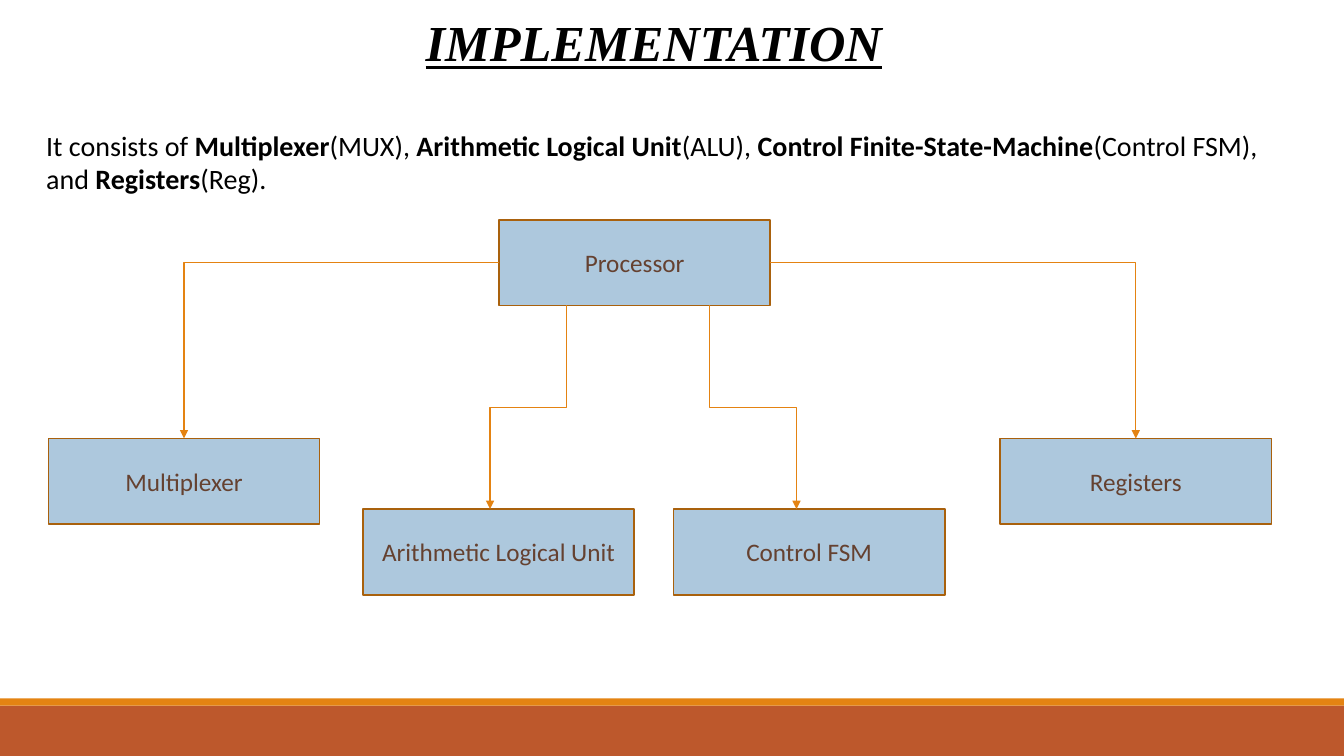
from dataclasses import dataclass

from lxml import etree
from pptx import Presentation
from pptx.dml.color import RGBColor
from pptx.enum.shapes import MSO_CONNECTOR, MSO_SHAPE
from pptx.enum.text import MSO_ANCHOR, PP_ALIGN
from pptx.oxml.ns import qn
from pptx.util import Inches, Pt

ELBOW = MSO_CONNECTOR.ELBOW
RECT = MSO_SHAPE.RECTANGLE
LEFT, CENTER = PP_ALIGN.LEFT, PP_ALIGN.CENTER
MIDDLE = MSO_ANCHOR.MIDDLE


@dataclass(frozen=True)
class Theme:
    ink: str = "000000"
    label: str = "654130"
    fill: str = "ADC8DD"
    edge: str = "A9610D"
    accent: str = "E48312"
    base: str = "BD582C"
    head: str = "Times New Roman"
    body: str = "Calibri"
    title: int = 36
    lead: int = 20
    node: int = 18


THEME = Theme()


def color(code):
    return RGBColor.from_string(code)


def write(frame, lines, size, font=THEME.body, ink=THEME.ink, align=LEFT,
          bold=False, italic=False, line=False, wrap=True):
    """Fill a text frame; parts between asterisks switch the weight."""
    frame.word_wrap = wrap
    frame.vertical_anchor = MIDDLE
    for i, text in enumerate(lines):
        para = frame.paragraphs[0] if i == 0 else frame.add_paragraph()
        para.alignment = align
        for j, part in enumerate(text.split("*")):
            run = para.add_run()
            run.text = part
            face = run.font
            face.name, face.size = font, Pt(size)
            face.bold = bold != (j % 2 == 1)
            face.italic, face.underline = italic, line
            face.color.rgb = color(ink)


def block(slide, box, fill, edge=None):
    shape = slide.shapes.add_shape(RECT, *map(Inches, box))
    shape.shadow.inherit = False
    shape.fill.solid()
    shape.fill.fore_color.rgb = color(fill)
    if edge:
        shape.line.color.rgb = color(edge)
        shape.line.width = Pt(1.25)
    else:
        shape.line.fill.background()
    return shape


def node(slide, box, text):
    shape = block(slide, box, THEME.fill, THEME.edge)
    write(shape.text_frame, [text], THEME.node, ink=THEME.label, align=CENTER)
    return shape


def arrow(slide, start, end):
    link = slide.shapes.add_connector(ELBOW, *map(Inches, start + end))
    link.line.color.rgb = color(THEME.accent)
    link.line.width = Pt(1)
    props = link._element.spPr
    etree.SubElement(props.find(qn("a:ln")), qn("a:tailEnd"), type="triangle")
    etree.SubElement(props, qn("a:effectLst"))
    return link


def side(slide, root, spot, leaf):
    """Run from a side of the root across, then down to the leaf's top."""
    link = arrow(slide, (0, 0), (1, 1))
    link._element.spPr.find(qn("a:prstGeom")).set("prst", "bentConnector2")
    link.begin_connect(root, spot)
    link.end_connect(leaf, 0)


def drop(slide, start, end):
    """Step down, across and down: a sideways elbow turned by 90 degrees."""
    (x1, y1), (x2, y2) = start, end
    mid_x, mid_y = (x1 + x2) / 2, (y1 + y2) / 2
    half_w, half_h = (y2 - y1) / 2, (x2 - x1) / 2
    link = arrow(slide, (mid_x - half_w, mid_y + half_h),
                 (mid_x + half_w, mid_y - half_h))
    link._element.spPr.find(qn("a:xfrm")).set("rot", "5400000")


def header(slide, box):
    title = slide.shapes.title
    title.left, title.top, title.width, title.height = map(Inches, box)
    write(title.text_frame, ["IMPLEMENTATION"], THEME.title, font=THEME.head,
          align=CENTER, bold=True, italic=True, line=True)


def intro(slide, box):
    area = slide.shapes.add_textbox(*map(Inches, box))
    write(area.text_frame, [
        "It consists of *Multiplexer*(MUX), *Arithmetic Logical Unit*(ALU), "
        "*Control Finite-State-Machine*(Control FSM),",
        "and *Registers*(Reg).",
    ], THEME.lead, wrap=False)


def diagram(slide, box):
    x, y, w, h = box
    node_w, node_h = 2.69, 0.85
    high, low = y + 2.17, y + h - node_h
    root = node(slide, (x + 4.47, y, node_w, node_h), "Processor")
    mux, alu, fsm, regs = [
        node(slide, (left, top, node_w, node_h), text)
        for left, top, text in (
            (x, high, "Multiplexer"),
            (x + 3.12, low, "Arithmetic Logical Unit"),
            (x + 6.2, low, "Control FSM"),
            (x + w - node_w, high, "Registers"))]
    side(slide, root, 1, mux)
    side(slide, root, 3, regs)
    for start, end in ((5.14, 4.38), (6.56, 7.42)):
        drop(slide, (x + start, y + node_h), (x + end, low))


def footer(slide, box):
    x, y, w, h = box
    strip = 0.07
    block(slide, (x, y + strip, w, h - strip), THEME.base)
    block(slide, (x, y, w, strip), THEME.accent)


def main():
    deck = Presentation()
    deck.slide_width, deck.slide_height = Inches(13.33), Inches(7.5)
    slide = deck.slides.add_slide(deck.slide_layouts[5])
    footer(slide, (0, 6.93, 13.33, 0.57))
    header(slide, (1.48, 0.06, 10.01, 0.71))
    intro(slide, (0.36, 1.22, 12.24, 0.77))
    diagram(slide, (0.48, 2.18, 12.13, 3.72))
    deck.save("out.pptx")


if __name__ == "__main__":
    main()
